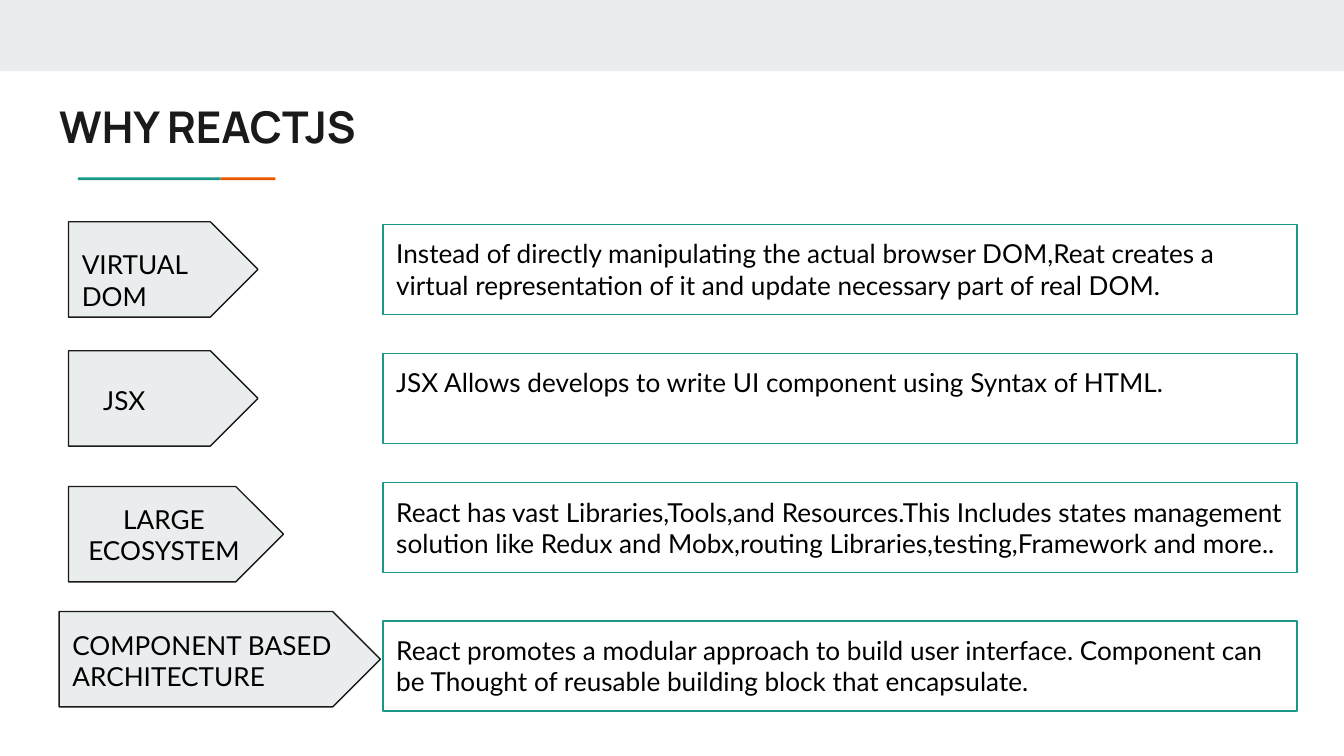
from dataclasses import dataclass

from pptx import Presentation
from pptx.dml.color import RGBColor
from pptx.enum.shapes import MSO_SHAPE
from pptx.enum.text import MSO_ANCHOR, MSO_AUTO_SIZE, PP_ALIGN
from pptx.util import Inches, Pt

RECT, PENTAGON = MSO_SHAPE.RECTANGLE, MSO_SHAPE.PENTAGON
TOP, MIDDLE = MSO_ANCHOR.TOP, MSO_ANCHOR.MIDDLE
LEFT, CENTER = PP_ALIGN.LEFT, PP_ALIGN.CENTER
NO_FIT = MSO_AUTO_SIZE.NONE


@dataclass(frozen=True)
class Theme:
    white: RGBColor = RGBColor(0xFF, 0xFF, 0xFF)
    black: RGBColor = RGBColor(0, 0, 0)
    ink: RGBColor = RGBColor(0x1A, 0x1A, 0x1A)
    grey: RGBColor = RGBColor(0xE9, 0xED, 0xEE)
    teal: RGBColor = RGBColor(0x1A, 0x99, 0x88)
    orange: RGBColor = RGBColor(0xEB, 0x56, 0x00)
    title_font: str = "Manrope"
    body_font: str = "Lato"
    title_size: float = 23.4
    body_size: float = 14
    line_width: float = 0.75


THEME = Theme()

# Arrow box, label box (None: label inside the arrow), card top, label, description
REASONS = [
    ((0.51, 1.65, 1.41), (0.51, 1.75, 1.41, 0.51), 1.67, "VIRTUAL DOM",
     "Instead of directly manipulating the actual browser DOM,Reat creates a "
     "virtual representation of it and update necessary part of real DOM."),
    ((0.51, 2.61, 1.41), (0.67, 2.76, 0.7, 0.35), 2.63, "JSX",
     "JSX Allows develops to write UI component using Syntax of HTML."),
    ((0.51, 3.62, 1.6), None, 3.59, "LARGE ECOSYSTEM",
     "React has vast Libraries,Tools,and Resources.This Includes states management "
     "solution like Redux and Mobx,routing Libraries,testing,Framework and more.."),
    ((0.44, 4.55, 2.39), (0.44, 4.58, 2.27, 0.66), 4.62, "COMPONENT BASED ARCHITECTURE",
     "React promotes a modular approach to build user interface. Component can "
     "be Thought of reusable building block that encapsulate."),
]
ARROW_HEIGHT = 0.71
CARD_LEFT, CARD_WIDTH, CARD_HEIGHT = 2.85, 6.8, 0.67


def set_text(sp, text, font=THEME.body_font, size=THEME.body_size,
             color=THEME.black, bold=False, align=LEFT, anchor=TOP):
    tf = sp.text_frame
    tf.text = text
    tf.word_wrap = True
    tf.auto_size = NO_FIT
    tf.vertical_anchor = anchor
    tf.margin_left = tf.margin_right = tf.margin_top = tf.margin_bottom = Inches(0.1)
    p = tf.paragraphs[0]
    p.alignment = align
    f = p.runs[0].font
    f.name, f.size, f.bold = font, Pt(size), bold
    f.color.rgb = color


def add_block(slide, kind, box, fill, line=None):
    sp = slide.shapes.add_shape(kind, *map(Inches, box))
    sp.shadow.inherit = False
    sp.fill.solid()
    sp.fill.fore_color.rgb = fill
    if line is None:
        sp.line.fill.background()
    else:
        sp.line.color.rgb = line
        sp.line.width = Pt(THEME.line_width)
    return sp


def add_title(slide, text):
    sp = slide.shapes.title
    sp.left, sp.top, sp.width, sp.height = map(Inches, (0.34, 0.64, 6.31, 0.58))
    set_text(sp, text, THEME.title_font, THEME.title_size, THEME.ink, bold=True)


def add_reason(slide, arrow_box, label_box, card_top, label, description):
    arrow = add_block(slide, PENTAGON, (*arrow_box, ARROW_HEIGHT), THEME.grey, THEME.ink)
    arrow.adjustments[0] = 0.5
    if label_box:
        set_text(slide.shapes.add_textbox(*map(Inches, label_box)), label)
    else:
        set_text(arrow, label, align=CENTER, anchor=MIDDLE)
    card = add_block(slide, RECT, (CARD_LEFT, card_top, CARD_WIDTH, CARD_HEIGHT),
                     THEME.white, THEME.teal)
    set_text(card, description)


def main():
    # Widescreen 16:9 slide
    prs = Presentation()
    prs.slide_width = Inches(10)
    prs.slide_height = Inches(10) * 9 // 16
    slide = prs.slides.add_slide(prs.slide_layouts[5])

    # Header band, title and two-colour underline
    add_block(slide, RECT, (0, 0, 10, 0.53), THEME.grey)
    add_title(slide, "WHY REACTJS")
    add_block(slide, RECT, (0.58, 1.32, 1.06, 0.02), THEME.teal)
    add_block(slide, RECT, (1.64, 1.32, 0.41, 0.02), THEME.orange)

    # One arrow and one card per reason
    for reason in REASONS:
        add_reason(slide, *reason)

    prs.save("out.pptx")


if __name__ == "__main__":
    main()
